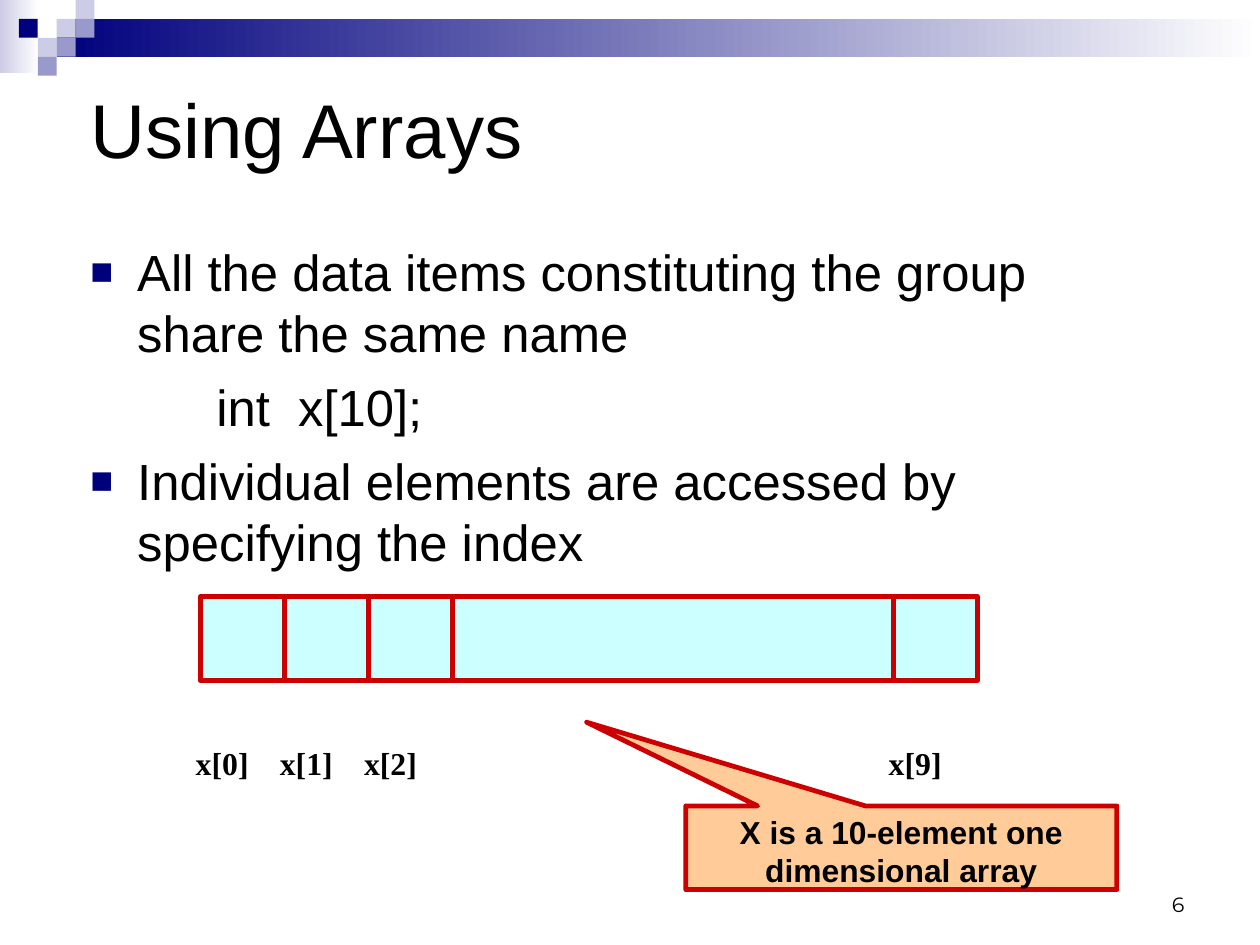
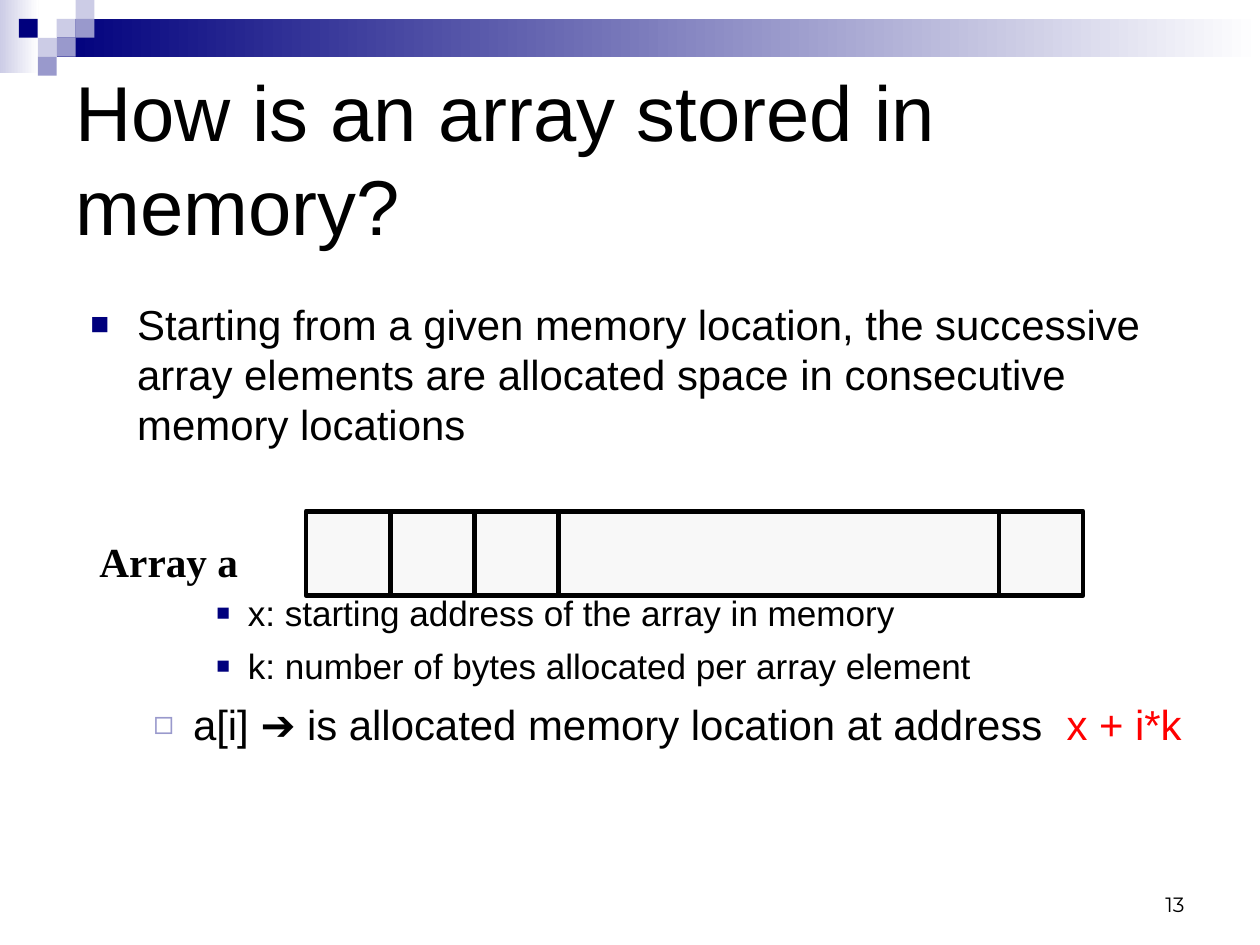
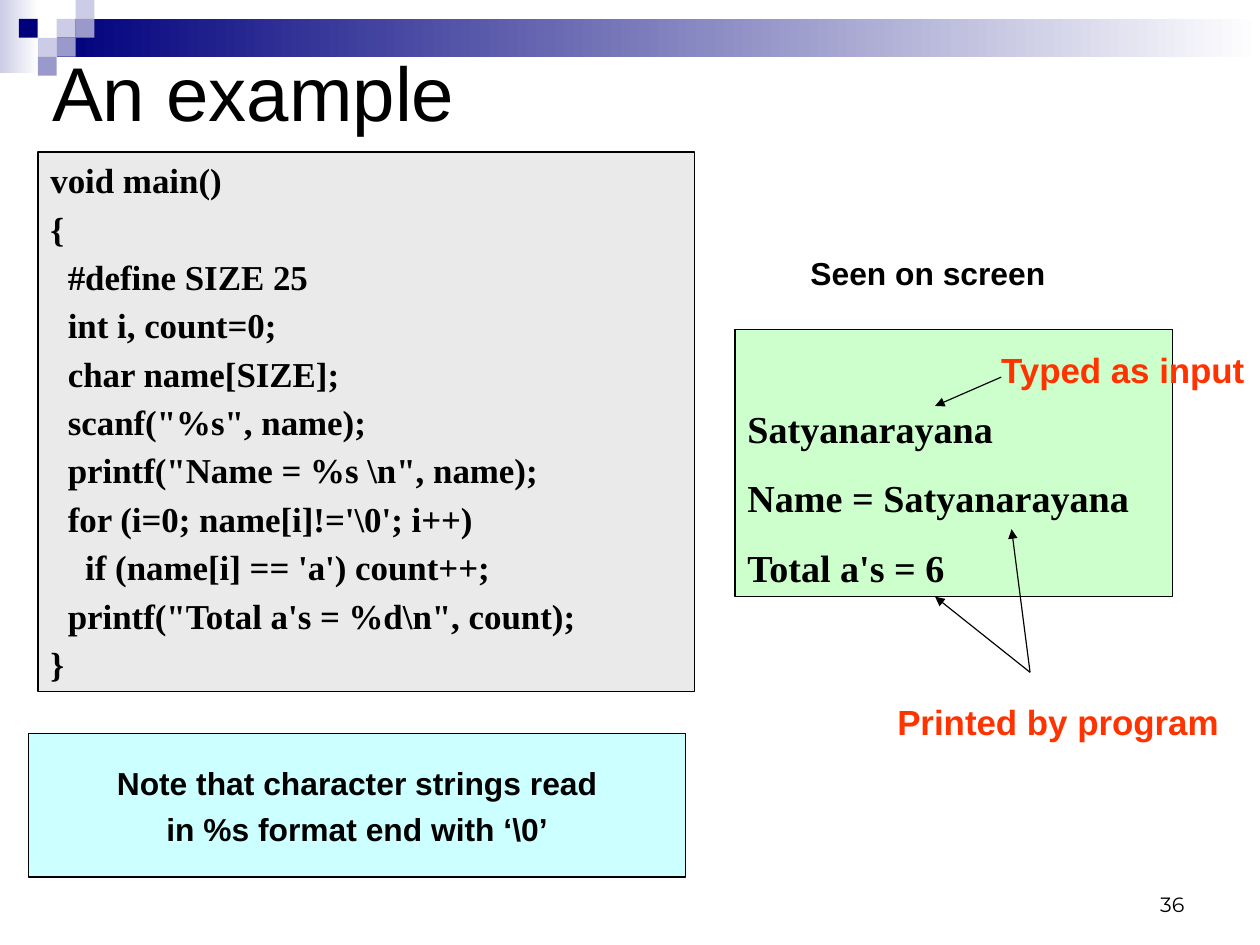
import dataclasses

import lxml.etree
import pptx
import pptx.dml.color
import pptx.enum.shapes
import pptx.enum.text
import pptx.oxml.ns
import pptx.util

Cm = pptx.util.Cm
Pt = pptx.util.Pt
qn = pptx.oxml.ns.qn
ALIGN = pptx.enum.text.PP_ALIGN
ANCHOR = pptx.enum.text.MSO_ANCHOR
SHAPE = pptx.enum.shapes.MSO_SHAPE

# Shared look
BLACK, WHITE, RED = "000000", "FFFFFF", "CC0000"
NAVY, LILAC, PALE = "00007D", "9999CC", "CCCCE6"
CYAN, ORANGE = "CCFFFF", "FF3300"
SANS, SERIF = "Arial", "Times New Roman"
LINE_HEIGHT = 1.2
INSETS = (0.28, 0.15, 0.28, 0.15)
NO_INSETS = (0, 0, 0, 0)
WIDTH, HEIGHT = 28, 21
TILE = 0.42
TILES = [(3, 1, PALE), (4, 0, PALE), (4, 1, LILAC), (2, 2, PALE),
         (1, 1, NAVY), (3, 2, LILAC), (2, 3, LILAC)]
CELL, ARRAY_WIDTH = 1.87, 17.27
DIVIDERS = [CELL, 2 * CELL, 3 * CELL, ARRAY_WIDTH - CELL]


@dataclasses.dataclass
class Bullet:
    """A bullet sign with its colour and its size in percent."""
    sign: str
    color: str
    percent: int


@dataclasses.dataclass
class Line:
    """A paragraph whose size and gap may differ from those of its box."""
    text: str
    size: float = None
    gap: float = None
    bullet: Bullet = None
    margin: float = 0
    indent: float = 0
    accent: str = ""


BIG_SQUARE = Bullet("■", NAVY, 75)
SMALL_SQUARE = Bullet("■", NAVY, 65)
OPEN_SQUARE = Bullet("◻", LILAC, 80)


# Helpers
def rgb(color):
    return pptx.dml.color.RGBColor.from_string(color)


def set_values(target, values):
    for name, value in values.items():
        setattr(target, name, value)


def add_xml(parent, tag, **attributes):
    return lxml.etree.SubElement(parent, qn(tag), attributes)


def add_bullet(paragraph, line):
    properties = paragraph._p.get_or_add_pPr()
    properties.set("marL", str(Cm(line.margin)))
    properties.set("indent", str(Cm(line.indent)))
    if line.bullet is None:
        add_xml(properties, "a:buNone")
        return
    color = add_xml(properties, "a:buClr")
    add_xml(color, "a:srgbClr", val=line.bullet.color)
    add_xml(properties, "a:buSzPct", val=str(line.bullet.percent * 1000))
    add_xml(properties, "a:buFont", typeface=SANS)
    add_xml(properties, "a:buChar", char=line.bullet.sign)


def add_span(paragraph, text, size, font, color, bold):
    span = paragraph.add_run()
    span.text = text
    set_values(span.font, {"size": Pt(size), "name": font, "bold": bold})
    span.font.color.rgb = rgb(color)


def write(shape, lines, size, font=SANS, color=BLACK, bold=False, gap=0,
          align=ALIGN.LEFT, anchor=ANCHOR.TOP, insets=INSETS):
    frame = shape.text_frame
    left, top, right, bottom = map(Cm, insets)
    set_values(frame, {
        "word_wrap": True, "auto_size": pptx.enum.text.MSO_AUTO_SIZE.NONE,
        "vertical_anchor": anchor, "margin_left": left, "margin_top": top,
        "margin_right": right, "margin_bottom": bottom})
    for number, line in enumerate(lines):
        if isinstance(line, str):
            line = Line(line)
        paragraph = frame.add_paragraph() if number else frame.paragraphs[0]
        add_bullet(paragraph, line)
        line_size = line.size or size
        line_gap = gap if line.gap is None else line.gap
        set_values(paragraph, {
            "alignment": align, "line_spacing": Pt(line_size * LINE_HEIGHT),
            "space_before": Pt(line_gap if number else 0),
            "space_after": Pt(0)})
        add_span(paragraph, line.text, line_size, font, color, bold)
        if line.accent:
            add_span(paragraph, line.accent, line_size, font, "FF0000", bold)


def add_text(page, place, lines, size, **style):
    box = page.shapes.add_textbox(*map(Cm, place))
    write(box, lines, size, **style)


def add_box(page, place, fill, line=None, weight=1, kind=SHAPE.RECTANGLE):
    """Draw a shape; a pair of colours as fill gives a gradient."""
    shape = page.shapes.add_shape(kind, *map(Cm, place))
    shape.shadow.inherit = False
    if isinstance(fill, tuple):
        shape.fill.gradient()
        shape.fill.gradient_angle = 0
        for stop, color in zip(shape.fill.gradient_stops, fill):
            stop.color.rgb = rgb(color)
    else:
        shape.fill.solid()
        shape.fill.fore_color.rgb = rgb(fill)
    if line:
        shape.line.color.rgb = rgb(line)
        shape.line.width = Pt(weight)
    else:
        shape.line.fill.background()
    return shape


def add_line(page, start, end, color=BLACK, weight=0.75, arrow=False):
    connector = page.shapes.add_connector(
        pptx.enum.shapes.MSO_CONNECTOR.STRAIGHT, *map(Cm, start + end))
    connector.line.color.rgb = rgb(color)
    connector.line.width = Pt(weight)
    properties = connector.element.spPr
    if arrow:
        add_xml(properties.find(qn("a:ln")), "a:tailEnd", type="triangle")
    add_xml(properties, "a:effectLst")


def add_array(page, left, top, fill, line):
    add_box(page, (left, top, ARRAY_WIDTH, CELL), fill, line, 3)
    for offset in DIVIDERS:
        x = left + offset
        add_line(page, (x, top), (x, top + CELL), line, 3)


# Parts that all slides share
def decorate_master(deck, page):
    """Draw the band on a page, then hand its shapes to the master."""
    band = [add_box(page, (0, 0, 0.86, 1.63), (PALE, WHITE)),
            add_box(page, (3 * TILE, TILE, WIDTH - 3 * TILE, 2 * TILE),
                    (NAVY, WHITE))]
    for column, row, color in TILES:
        place = (column * TILE, row * TILE, TILE, TILE)
        band.append(add_box(page, place, color))
    tree = deck.slide_master.shapes.element
    for shape in band:
        tree.append(shape.element)


def add_page(deck, title, place, number, size=48):
    page = deck.slides.add_slide(deck.slide_layouts[5])
    heading = page.shapes.title
    set_values(heading, dict(zip(("left", "top", "width", "height"),
                                 map(Cm, place))))
    write(heading, [title], size, anchor=ANCHOR.MIDDLE)
    add_text(page, (20.07, 19.13, 6.53, 1.4), [str(number)], 13,
             font="Montserrat", align=ALIGN.RIGHT, anchor=ANCHOR.BOTTOM)
    return page


# Slides
def build_using_arrays(deck):
    page = add_page(deck, "Using Arrays", (1.73, 0.76, 25.2, 4.19), 6)
    decorate_master(deck, page)
    point = {"bullet": BIG_SQUARE, "margin": 1.04, "indent": -1.04}
    add_text(page, (1.73, 5.21, 23.8, 8), [
        Line("All the data items constituting the group share the same name",
             **point),
        Line("int  x[10];", margin=2.8),
        Line("Individual elements are accessed by specifying the index",
             **point)], 32, gap=8)

    left = 4.45
    add_array(page, left, 13.26, CYAN, RED)
    for index, offset in zip((0, 1, 2, 9), [0] + DIVIDERS[:2] + DIVIDERS[3:]):
        add_text(page, (left - 0.38 + offset, 16.38, 2.11, 1.12),
                 [f"x[{index}]"], 20, font=SERIF, bold=True)

    callout = add_box(page, (15.24, 17.91, 9.58, 1.86), "FFCC99", RED, 3,
                      SHAPE.RECTANGULAR_CALLOUT)
    callout.adjustments[0] = -0.73
    callout.adjustments[1] = -1.5
    write(callout, ["X is a 10-element one dimensional array"], 20,
          bold=True, align=ALIGN.CENTER)


def build_array_storage(deck):
    page = add_page(deck, "How is an array stored in memory?",
                    (1.4, 1.4, 25.2, 4.19), 13, size=49)
    add_text(page, (1.73, 6.48, 25.2, 4.2), [
        Line("Starting from a given memory location, the successive array "
             "elements are allocated space in consecutive memory locations",
             bullet=BIG_SQUARE, margin=1.04, indent=-1.04)], 26.4)

    detail = {"bullet": SMALL_SQUARE, "margin": 3.5, "indent": -0.7}
    add_text(page, (1.73, 13, 25.2, 5.3), [
        Line("x: starting address of the array in memory", **detail),
        Line("k: number of bytes allocated per array element", **detail),
        Line("a[i] ➔ is allocated memory location at address  ", 26.4, 7.7,
             OPEN_SQUARE, 2.28, -0.88, accent="x + i*k")], 22.1, gap=6.5)

    add_array(page, 6.8, 11.36, "F8F8F8", BLACK)
    add_text(page, (1.93, 11.76, 3.96, 1.37), ["Array a"], 26,
             font=SERIF, bold=True)


def build_example(deck):
    page = add_page(deck, "An example", (0.88, 0.96, 26.44, 2.14), 36)

    # Program
    program = add_box(page, (0.84, 3.38, 14.6, 11.99), "EAEAEA", BLACK)
    write(program, [
        "void main()",
        "{",
        "  #define SIZE 25",
        "  int i, count=0;",
        "  char name[SIZE];",
        '  scanf("%s", name);',
        '  printf("Name = %s \\n", name);',
        "  for (i=0; name[i]!='\\0'; i++)",
        "    if (name[i] == 'a') count++;",
        '  printf("Total a\'s = %d\\n", count);',
        "}"], 22, font=SERIF, bold=True, gap=4.1)

    # Screen
    screen = add_box(page, (16.33, 7.32, 9.73, 5.94), "CCFFCC", BLACK)
    write(screen, ["Satyanarayana", "Name = Satyanarayana", "Total a's = 6"],
          24, font=SERIF, bold=True, gap=15, insets=(0.28, 1.68, 0.28, 0.15))

    # Note
    note = add_box(page, (0.64, 16.31, 14.6, 3.18), CYAN, BLACK, 0.75)
    write(note, ["Note that character strings read",
                 "in %s format end with ‘\\0’"], 20, bold=True, gap=5,
          align=ALIGN.CENTER, anchor=ANCHOR.MIDDLE, insets=NO_INSETS)

    # Captions and arrows
    for text, left, top, width, size, color in [
            ("Seen on screen", 18.01, 5.64, 5.6, 20, BLACK),
            ("Typed as input", 22.25, 7.75, 5.74, 22, ORANGE),
            ("Printed by program", 19.94, 15.57, 7.6, 22, ORANGE)]:
        add_text(page, (left, top, width, 0.94), [text], size, color=color,
                 bold=True, insets=NO_INSETS)
    printed = (22.89, 14.94)
    for start, end in [((22.25, 8.38), (20.78, 9.02)),
                       (printed, (20.78, 13.26)),
                       (printed, (22.48, 11.76))]:
        add_line(page, start, end, arrow=True)


def main():
    deck = pptx.Presentation()
    deck.slide_width, deck.slide_height = Cm(WIDTH), Cm(HEIGHT)
    build_using_arrays(deck)
    build_array_storage(deck)
    build_example(deck)
    deck.save("out.pptx")


if __name__ == "__main__":
    main()
